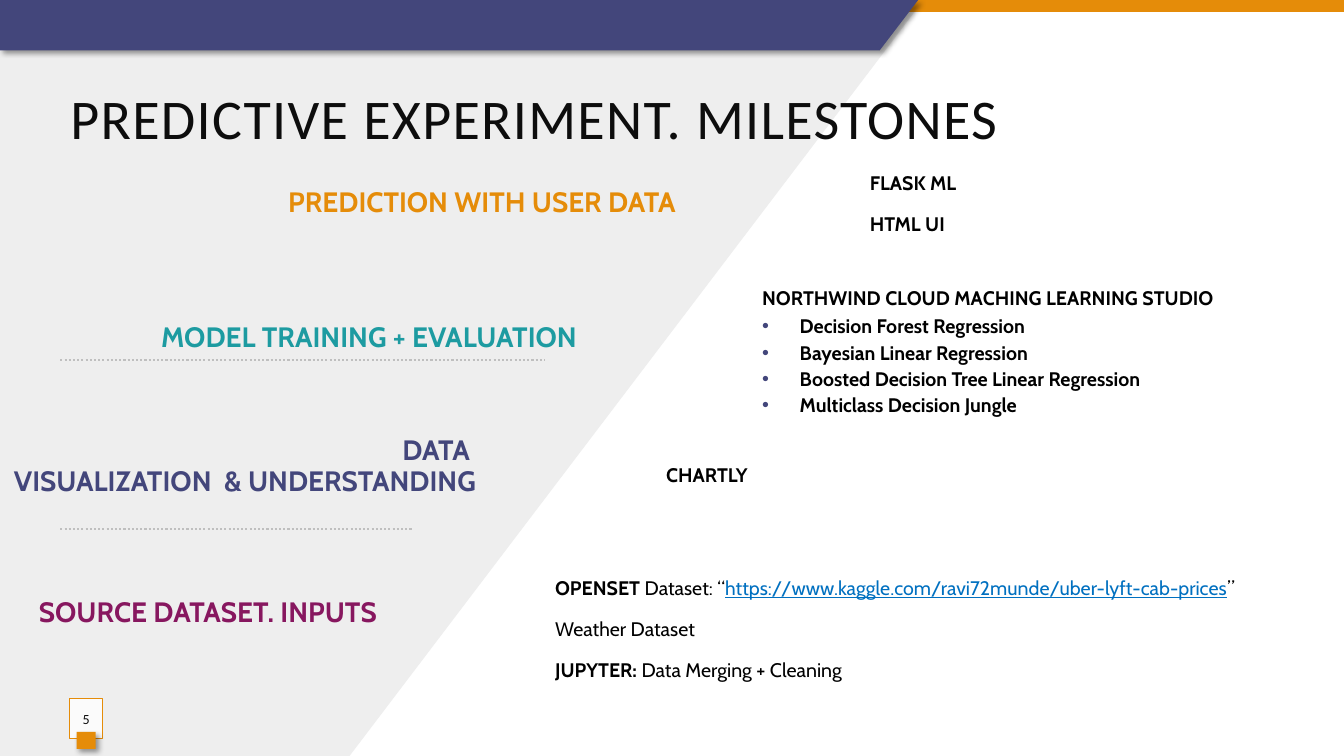
"""Build the slide of predictive experiment milestones."""
from lxml import etree
from pptx import Presentation
from pptx.dml.color import RGBColor
from pptx.enum import dml, shapes, text
from pptx.oxml import ns
from pptx.util import Cm, Pt

INDIGO, ORANGE, TEAL, PLUM = "43467B", "E58C09", "1D9BA1", "87175F"
BLACK, INK, BLUE, GREY = "000000", "0D0D0D", "0070C0", "BFBFBF"
WIDE, HIGH = 33.87, 19.05
TITLE = "PREDICTIVE EXPERIMENT. MILESTONES"
STEPS = [
    ("PREDICTION WITH USER DATA", ORANGE, (3.56, 4.55, 13.72, 1.17)),
    ("MODEL TRAINING + EVALUATION", TEAL, (3.61, 7.95, 11.18, 1.17)),
    ("DATA \vVISUALIZATION  & UNDERSTANDING", INDIGO,
     (-1.47, 11.18, 13.72, 1.17)),
    ("SOURCE DATASET. INPUTS", PLUM, (0.43, 14.88, 9.32, 1.17)),
]
TOOLS = [
    (["FLASK ML", "HTML UI"], (21.67, 3.89, 11.99, 2.54)),
    (["CHARTLY"], (16.54, 10.74, 11.99, 2.54)),
]
STUDIO = "NORTHWIND CLOUD MACHING LEARNING STUDIO"
MODELS = [
    "Decision Forest Regression",
    "Bayesian Linear Regression",
    "Boosted Decision Tree Linear Regression",
    "Multiclass Decision Jungle",
]
INPUTS = [
    [("OPENSET ", "bold"), ("Dataset: “", ""),
     ("https://www.kaggle.com/ravi72munde/uber-lyft-cab-prices", "url"),
     ("”", "")],
    [("Weather Dataset", "")],
    [("JUPYTER: ", "bold"), ("Data Merging + Cleaning", "")],
]
RULES = [(9.07, 13.72), (13.34, 10.41)]


def rgb(code):
    return RGBColor.from_string(code)


def add_xml(parent, tag, **attrs):
    return etree.SubElement(parent, ns.qn(tag), attrs)


def place(shape, box):
    shape.left, shape.top, shape.width, shape.height = map(Cm, box)


def paint(shape, fill, shadow=False):
    shape.fill.solid()
    shape.fill.fore_color.rgb = rgb(fill)
    shape.line.fill.background()
    shape.shadow.inherit = False
    if shadow:
        effects = shape._element.spPr.find(ns.qn("a:effectLst"))
        outer = add_xml(effects, "a:outerShdw", blurRad="50800",
                        dist="38100", dir="2700000", algn="tl",
                        rotWithShape="0")
        color = add_xml(outer, "a:srgbClr", val=BLACK)
        add_xml(color, "a:alpha", val="40000")
    return shape


def add_poly(points, fill, shadow=False):
    first, *rest = [(Cm(x), Cm(y)) for x, y in points]
    build = slide.shapes.build_freeform(*first)
    build.add_line_segments(rest)
    return paint(build.convert_to_shape(), fill, shadow)


def add_rect(box, fill, shadow=False):
    shape = slide.shapes.add_shape(shapes.MSO_SHAPE.RECTANGLE, *map(Cm, box))
    return paint(shape, fill, shadow)


def add_text(box):
    return set_frame(slide.shapes.add_textbox(*map(Cm, box)))


def set_frame(shape):
    frame = shape.text_frame
    frame.word_wrap = True
    frame.auto_size = text.MSO_AUTO_SIZE.NONE
    frame.vertical_anchor = text.MSO_ANCHOR.MIDDLE
    return frame


def style(para, size, color, bold=None, name="Cabin"):
    font = para.font
    font.name, font.size, font.bold = name, Pt(size), bold
    font.color.rgb = rgb(color)


def next_para(frame, index, before=12, after=2, lines=0.9):
    para = frame.add_paragraph() if index else frame.paragraphs[0]
    para.space_before = Pt(before if index else 0)
    para.space_after = Pt(after)
    para.line_spacing = lines
    return para


def add_step(words, color, box):
    para = next_para(add_text(box), 0)
    para.text = words
    para.alignment = text.PP_ALIGN.RIGHT
    style(para, 20, color, True)


def add_tools(lines, box):
    frame = add_text(box)
    for i, line in enumerate(lines):
        para = next_para(frame, i)
        para.text = line
        style(para, 14, BLACK, True)


def fill_models(body):
    frame = set_frame(body)
    for i, line in enumerate([STUDIO] + MODELS):
        para = next_para(frame, i, 1, 1, 1.0) if i else next_para(frame, 0)
        para.text = line
        props = para._p.get_or_add_pPr()
        indent = Cm(0.95) if i else 0
        props.set("marL", str(indent))
        props.set("indent", str(-indent))
        if i:
            color = add_xml(props, "a:buClr")
            add_xml(color, "a:srgbClr", val=INDIGO)
            add_xml(props, "a:buFont", typeface="Arial")
            add_xml(props, "a:buChar", char="•")
        else:
            add_xml(props, "a:buNone")
        style(para, 14, BLACK, True)


def add_inputs(box):
    frame = add_text(box)
    for i, parts in enumerate(INPUTS):
        para = next_para(frame, i)
        style(para, 14, BLACK)
        for words, kind in parts:
            run = para.add_run()
            run.text = words
            run.font.bold = kind == "bold"
            if kind == "url":
                run.font.color.rgb = rgb(BLUE)
                run.font.underline = True


def add_rule(top, width):
    left = 1.52
    line = slide.shapes.add_connector(
        shapes.MSO_CONNECTOR.STRAIGHT,
        Cm(left), Cm(top), Cm(left + 0.8 * 0 + width - left), Cm(top))
    line.line.color.rgb = rgb(GREY)
    line.line.width = Pt(1.5)
    line.line.dash_style = dml.MSO_LINE.ROUND_DOT
    add_xml(line._element.spPr, "a:effectLst")


def add_badge():
    badge = add_rect((1.75, 17.6, 0.84, 1.02), "FFFFFF")
    color = badge._element.spPr.find(".//" + ns.qn("a:srgbClr"))
    add_xml(color, "a:alpha", val="82000")
    badge.line.color.rgb = rgb(ORANGE)
    badge.line.width = Pt(0.75)
    frame = set_frame(badge)
    frame.margin_left = frame.margin_right = 0
    para = frame.paragraphs[0]
    para.text = "5"
    para.alignment = text.PP_ALIGN.CENTER
    style(para, 10, INK, name="Calibri")
    add_rect((1.93, 18.44, 0.48, 0.43), ORANGE, True)


deck = Presentation()
deck.slide_width, deck.slide_height = Cm(WIDE), Cm(HIGH)
slide = deck.slides.add_slide(deck.slide_layouts[1])
title, body = slide.placeholders

add_poly([(0, 0), (23.14, 0), (23.14, 0.18), (8.81, HIGH), (0, HIGH)],
         "EEEEEE")
add_rect((0, 0, WIDE, 0.3), ORANGE)
add_poly([(0, 0), (23.14, 0), (22.17, 1.27), (0, 1.27)], INDIGO, True)

for holder, box in [(title, (1.52, 1.96, 30.02, 1.96)),
                    (body, (18.95, 7.62, 14.99, 2.54))]:
    place(holder, box)
    slide.shapes._spTree.append(holder._element)
set_frame(title)
head = title.text_frame.paragraphs[0]
head.text = TITLE
head.alignment = text.PP_ALIGN.LEFT
style(head, 40, INK, name="Calibri")
head.runs[0]._r.get_or_add_rPr().set("spc", "100")
fill_models(body)

for step in STEPS:
    add_step(*step)
for tool in TOOLS:
    add_tools(*tool)
add_inputs((13.74, 14.61, 18.08, 2.54))
add_badge()
for rule in RULES:
    add_rule(*rule)
deck.save("out.pptx")
